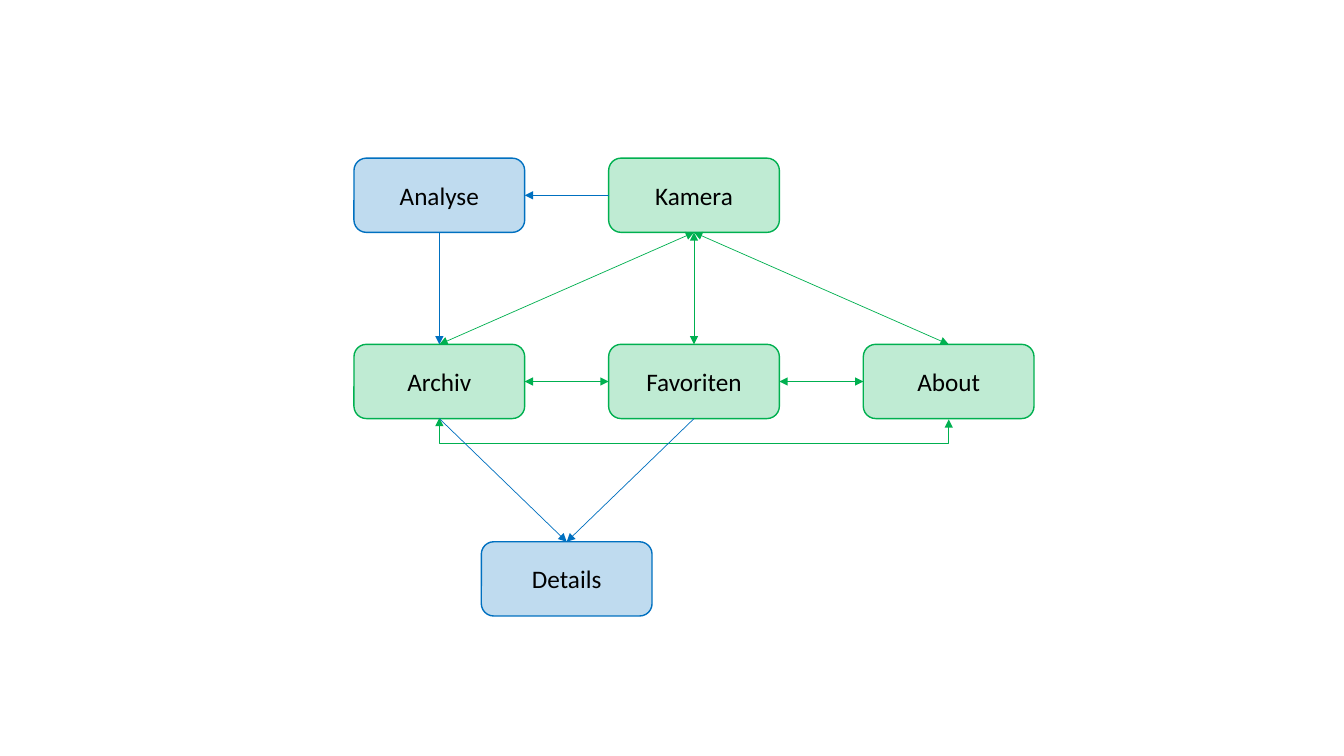
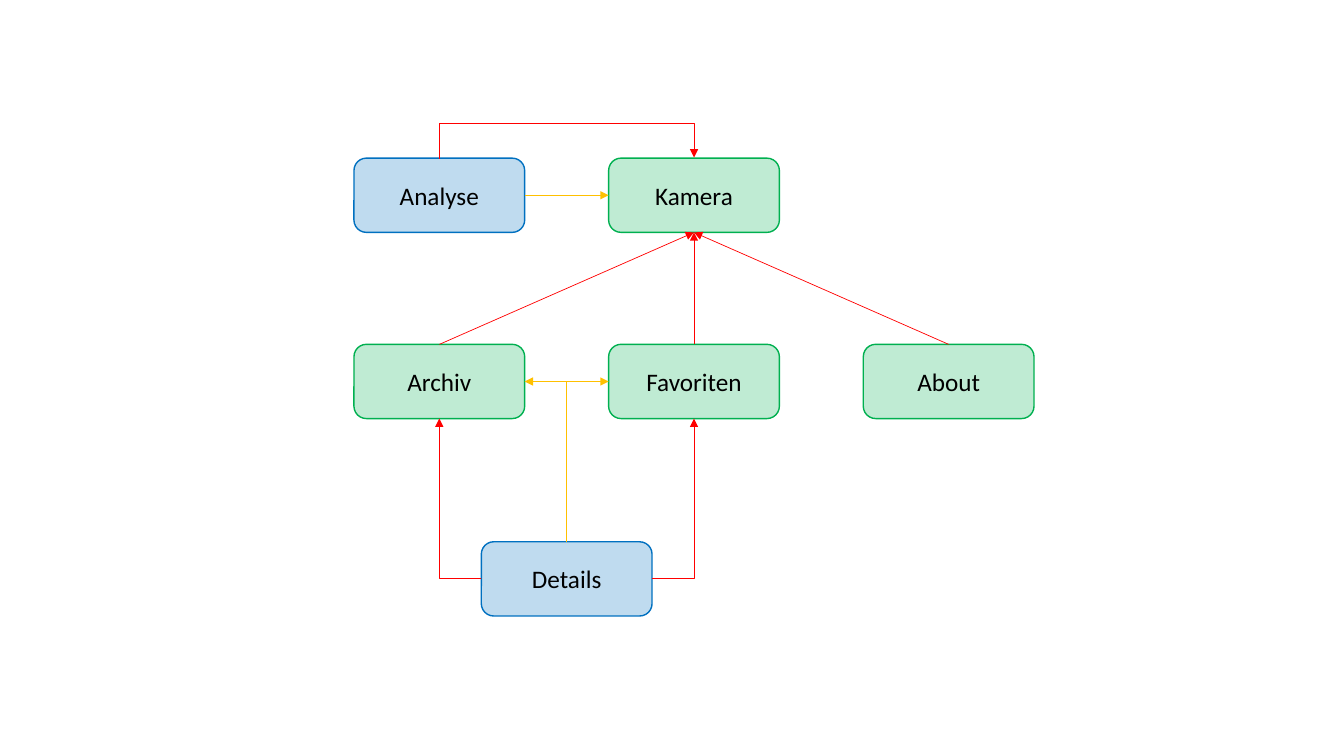
from lxml import etree
from pptx import Presentation
from pptx import util as u
from pptx.dml.color import RGBColor
from pptx.enum import shapes, text
from pptx.oxml import ns

GREEN, BLUE, RED, YELLOW = "00B050", "0070C0", "FF0000", "FFC000"
TOP, LEFT, BOTTOM, RIGHT = range(4)
FORWARD, BACK, BOTH = ("tailEnd",), ("headEnd",), ("headEnd", "tailEnd")

BOX_WIDTH, BOX_HEIGHT = 122, 53
FIRST_LEFT, COLUMN_STEP = 253, 182
ROW_TOPS = (113, 246, 387)
LOOP_OFFSET = 1

SCREENS = {
    "Kamera": (1, 0, GREEN),
    "Details": (0.5, 2, BLUE),
    "Analyse": (0, 0, BLUE),
    "About": (2, 1, GREEN),
    "Favoriten": (1, 1, GREEN),
    "Archiv": (0, 1, GREEN),
}

SLIDES = [
    {
        "straight": [
            ("Archiv", RIGHT, "Favoriten", LEFT, GREEN, BOTH),
            ("Favoriten", RIGHT, "About", LEFT, GREEN, BOTH),
            ("Kamera", LEFT, "Analyse", RIGHT, BLUE, FORWARD),
            ("Favoriten", BOTTOM, "Details", TOP, BLUE, FORWARD),
            ("Archiv", BOTTOM, "Details", TOP, BLUE, FORWARD),
            ("Analyse", BOTTOM, "Archiv", TOP, BLUE, FORWARD),
            ("Kamera", BOTTOM, "Archiv", TOP, GREEN, BOTH),
            ("Kamera", BOTTOM, "Favoriten", TOP, GREEN, BOTH),
            ("Kamera", BOTTOM, "About", TOP, GREEN, BOTH),
        ],
        "corner": [],
        "loop": [("Archiv", "About", BOTTOM, 18, GREEN, BOTH)],
    },
    {
        "straight": [
            ("Archiv", TOP, "Kamera", BOTTOM, RED, FORWARD),
            ("Favoriten", TOP, "Kamera", BOTTOM, RED, FORWARD),
            ("About", TOP, "Kamera", BOTTOM, RED, FORWARD),
            ("Analyse", RIGHT, "Kamera", LEFT, YELLOW, FORWARD),
        ],
        "corner": [
            ("Details", RIGHT, "Favoriten", BOTTOM, RED, FORWARD),
            ("Details", LEFT, "Archiv", BOTTOM, RED, FORWARD),
            ("Archiv", RIGHT, "Details", TOP, YELLOW, BACK),
            ("Favoriten", LEFT, "Details", TOP, YELLOW, BACK),
        ],
        "loop": [("Analyse", "Kamera", TOP, 25.5, RED, FORWARD)],
    },
]


def rgb(colour):
    return RGBColor.from_string(colour)


def add_child(parent, tag, **attributes):
    return etree.SubElement(parent, ns.qn(f"a:{tag}"), attributes)


def box_position(name):
    column, row, _ = SCREENS[name]
    return FIRST_LEFT + column * COLUMN_STEP, ROW_TOPS[row]


def side_point(name, side):
    left, top = box_position(name)
    across, down = {TOP: (0.5, 0), LEFT: (0, 0.5), BOTTOM: (0.5, 1), RIGHT: (1, 0.5)}[side]
    return left + across * BOX_WIDTH, top + down * BOX_HEIGHT


def add_box(slide, name):
    colour = SCREENS[name][2]
    left, top = box_position(name)
    shape = slide.shapes.add_shape(
        shapes.MSO_SHAPE.ROUNDED_RECTANGLE, u.Pt(left), u.Pt(top), u.Pt(BOX_WIDTH), u.Pt(BOX_HEIGHT)
    )
    shape.shadow.inherit = False
    shape.fill.solid()
    shape.fill.fore_color.rgb = rgb(colour)
    fill_colour = shape.element.spPr.find(ns.qn("a:solidFill"))[0]
    add_child(fill_colour, "alpha", val="25000")
    shape.line.color.rgb = rgb(colour)
    shape.line.width = u.Pt(1)
    frame = shape.text_frame
    frame.text = name
    frame.vertical_anchor = text.MSO_ANCHOR.MIDDLE
    paragraph = frame.paragraphs[0]
    paragraph.alignment = text.PP_ALIGN.CENTER
    paragraph.font.name = "Calibri"
    paragraph.font.size = u.Pt(18)
    paragraph.font.color.rgb = rgb("000000")
    return shape


def add_line(slide, kind, start, end, colour, arrows):
    connector = slide.shapes.add_connector(kind, *(u.Pt(value) for value in (*start, *end)))
    connector.line.color.rgb = rgb(colour)
    connector.line.width = u.Pt(0.5)
    properties = connector.element.spPr
    line = properties.find(ns.qn("a:ln"))
    for arrow in arrows:
        add_child(line, arrow, type="triangle")
    add_child(properties, "effectLst")
    return connector


def add_straight(slide, boxes, start, start_side, end, end_side, colour, arrows):
    connector = add_line(
        slide, shapes.MSO_CONNECTOR.STRAIGHT,
        side_point(start, start_side), side_point(end, end_side), colour, arrows,
    )
    connector.begin_connect(boxes[start], start_side)
    connector.end_connect(boxes[end], end_side)


def add_corner(slide, start, start_side, end, end_side, colour, arrows):
    connector = add_line(
        slide, shapes.MSO_CONNECTOR.ELBOW,
        side_point(start, start_side), side_point(end, end_side), colour, arrows,
    )
    connector.element.spPr.find(ns.qn("a:prstGeom")).set("prst", "bentConnector2")


def add_loop(slide, start, end, side, depth, colour, arrows):
    start_x, y = side_point(start, side)
    end_x, _ = side_point(end, side)
    middle, half_span = (start_x + end_x) / 2, (end_x - start_x) / 2
    half_offset = LOOP_OFFSET / 2
    connector = add_line(
        slide, shapes.MSO_CONNECTOR.ELBOW,
        (middle - half_offset, y - half_span), (middle + half_offset, y + half_span), colour, arrows,
    )
    properties = connector.element.spPr
    frame = properties.find(ns.qn("a:xfrm"))
    frame.set("rot", str(270 * 60000))
    if side == BOTTOM:
        frame.set("flipH", "1")
    adjustments = properties.find(ns.qn("a:prstGeom")).find(ns.qn("a:avLst"))
    add_child(adjustments, "gd", name="adj1", fmla=f"val {round(depth / LOOP_OFFSET * 100000)}")


def main():
    presentation = Presentation()
    presentation.slide_width, presentation.slide_height = u.Pt(960.5), u.Pt(540)
    for links in SLIDES:
        slide = presentation.slides.add_slide(presentation.slide_layouts[6])
        boxes = {name: add_box(slide, name) for name in SCREENS}
        for link in links["loop"]:
            add_loop(slide, *link)
        for link in links["straight"]:
            add_straight(slide, boxes, *link)
        for link in links["corner"]:
            add_corner(slide, *link)
    presentation.save("out.pptx")


if __name__ == "__main__":
    main()
